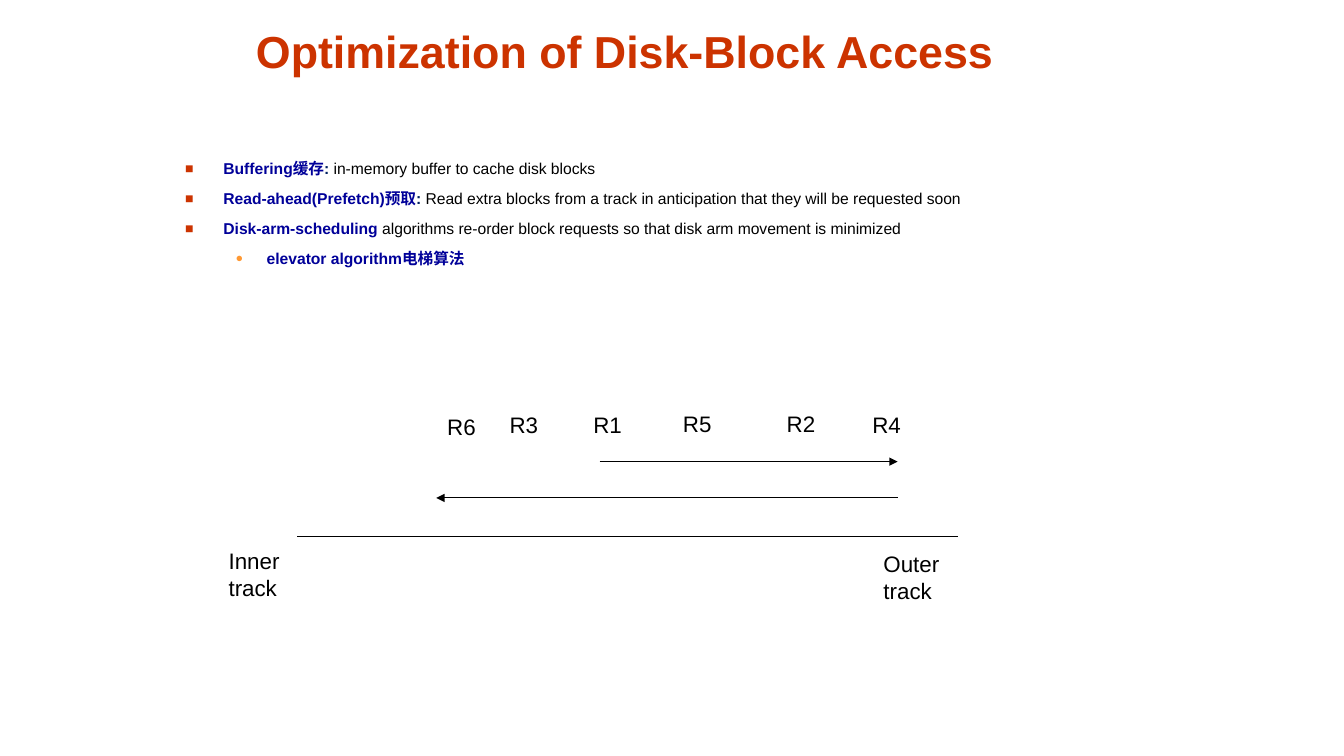
from lxml.etree import SubElement
from pptx import Presentation
from pptx.dml.color import RGBColor
from pptx.enum.shapes import MSO_CONNECTOR
from pptx.enum.text import MSO_ANCHOR, PP_ALIGN
from pptx.oxml.ns import qn
from pptx.util import Inches, Pt

COLORS = {
    "heading": "CC3300",
    "term": "000099",
    "colon": "002060",
    "ink": "000000",
    "square": "CC3300",
    "dot": "FF9933",
}
FONT = "Arial"
WIDTH, HEIGHT = Inches(13.34), Inches(7.5)
COL, ROW = WIDTH / 100, HEIGHT / 100

TITLE_BOX = (13.04, 2, 66.94, 8.93)
TECHNIQUES_BOX = (13.04, 20.4, 76.24, 28.27)
ELEVATOR_BOX = (16.27, 53.6, 58.4, 23.47)

SQUARE = ("■", "square", 90, 0.38, 0.38)
DOT = ("●", "dot", 80, 0.81, 0.31)
TECHNIQUES = [
    (SQUARE, [("Buffering缓存", "term"), (": ", "colon"),
              ("in-memory buffer to cache disk blocks", "ink")]),
    (SQUARE, [("Read-ahead(Prefetch)预取", "term"), (": ", "colon"),
              ("Read extra blocks from a track in anticipation "
               "that they will be requested soon", "ink")]),
    (SQUARE, [("Disk-arm-scheduling", "term"),
              (" algorithms re-order block requests so that "
               "disk arm movement is minimized", "ink")]),
    (DOT, [("elevator algorithm电梯算法", "term")]),
]
REQUESTS = [("R6", 16.27, 0.4), ("R3", 20.91, 0.13), ("R1", 27.14, 0.13),
            ("R5", 33.81, 0), ("R2", 41.53, 0), ("R4", 47.9, 0.13)]
TRACK_ENDS = [("Inner track", 0, 18.13, 9.3), ("Outer track", 48.73, 18.53, 9.67)]
SWEEPS = [(28.34, 50.52, 7.47), (50.52, 16.19, 12.27)]
TRACK = (5.85, 55.02, 17.33)


def add_frame(slide, box, wrap=True):
    left, top, width, height = box
    frame = slide.shapes.add_textbox(
        round(left * COL), round(top * ROW), round(width * COL), round(height * ROW)
    ).text_frame
    frame.word_wrap = wrap
    return frame


def add_run(paragraph, words, size, color, bold=False):
    run = paragraph.add_run()
    run.text = words
    run.font.name = FONT
    run.font.size = Pt(size)
    run.font.bold = bold
    run.font.color.rgb = RGBColor.from_string(COLORS[color])


def set_bullet(paragraph, bullet):
    char, color, percent, margin, hang = bullet
    properties = paragraph._p.get_or_add_pPr()
    properties.set("marL", str(Inches(margin)))
    properties.set("indent", str(-Inches(hang)))
    fill = SubElement(properties, qn("a:buClr"))
    SubElement(fill, qn("a:srgbClr"), val=COLORS[color])
    SubElement(properties, qn("a:buSzPct"), val=str(percent * 1000))
    SubElement(properties, qn("a:buFont"), typeface=FONT)
    SubElement(properties, qn("a:buChar"), char=char)


def add_title(slide, box):
    frame = add_frame(slide, box)
    frame.vertical_anchor = MSO_ANCHOR.BOTTOM
    heading = frame.paragraphs[0]
    heading.alignment = PP_ALIGN.CENTER
    add_run(heading, "Optimization of Disk-Block Access", 32, "heading", True)


def add_techniques(slide, box):
    frame = add_frame(slide, box)
    for index, (bullet, pieces) in enumerate(TECHNIQUES):
        technique = frame.add_paragraph() if index else frame.paragraphs[0]
        set_bullet(technique, bullet)
        if index:
            technique.space_before = Pt(7.9)
        if bullet is DOT:
            technique.level = 1
        for words, color in pieces:
            add_run(technique, words, 11.2, color, color != "ink")


def add_track_line(slide, box, start, end, height, arrow=False):
    left, top = box[:2]
    y = round((top + height) * ROW)
    line = slide.shapes.add_connector(
        MSO_CONNECTOR.STRAIGHT,
        round((left + start) * COL), y, round((left + end) * COL), y)
    line.line.color.rgb = RGBColor.from_string(COLORS["ink"])
    line.line.width = Pt(0.75)
    if arrow:
        SubElement(line.line._get_or_add_ln(), qn("a:tailEnd"), type="triangle")
    SubElement(line._element.spPr, qn("a:effectLst"))


def add_elevator(slide, box):
    left, top = box[:2]
    for start, end, height in SWEEPS:
        add_track_line(slide, box, start, end, height, arrow=True)
    add_track_line(slide, box, *TRACK)
    labels = [(*request, 3.6) for request in REQUESTS] + TRACK_ENDS
    for words, x, y, width in labels:
        frame = add_frame(slide, (left + x, top + y, width, 4.93), wrap=False)
        add_run(frame.paragraphs[0], words, 16, "ink")


def main():
    deck = Presentation()
    deck.slide_width, deck.slide_height = WIDTH, HEIGHT
    slide = deck.slides.add_slide(deck.slide_layouts[6])
    add_title(slide, TITLE_BOX)
    add_techniques(slide, TECHNIQUES_BOX)
    add_elevator(slide, ELEVATOR_BOX)
    deck.save("out.pptx")


if __name__ == "__main__":
    main()
